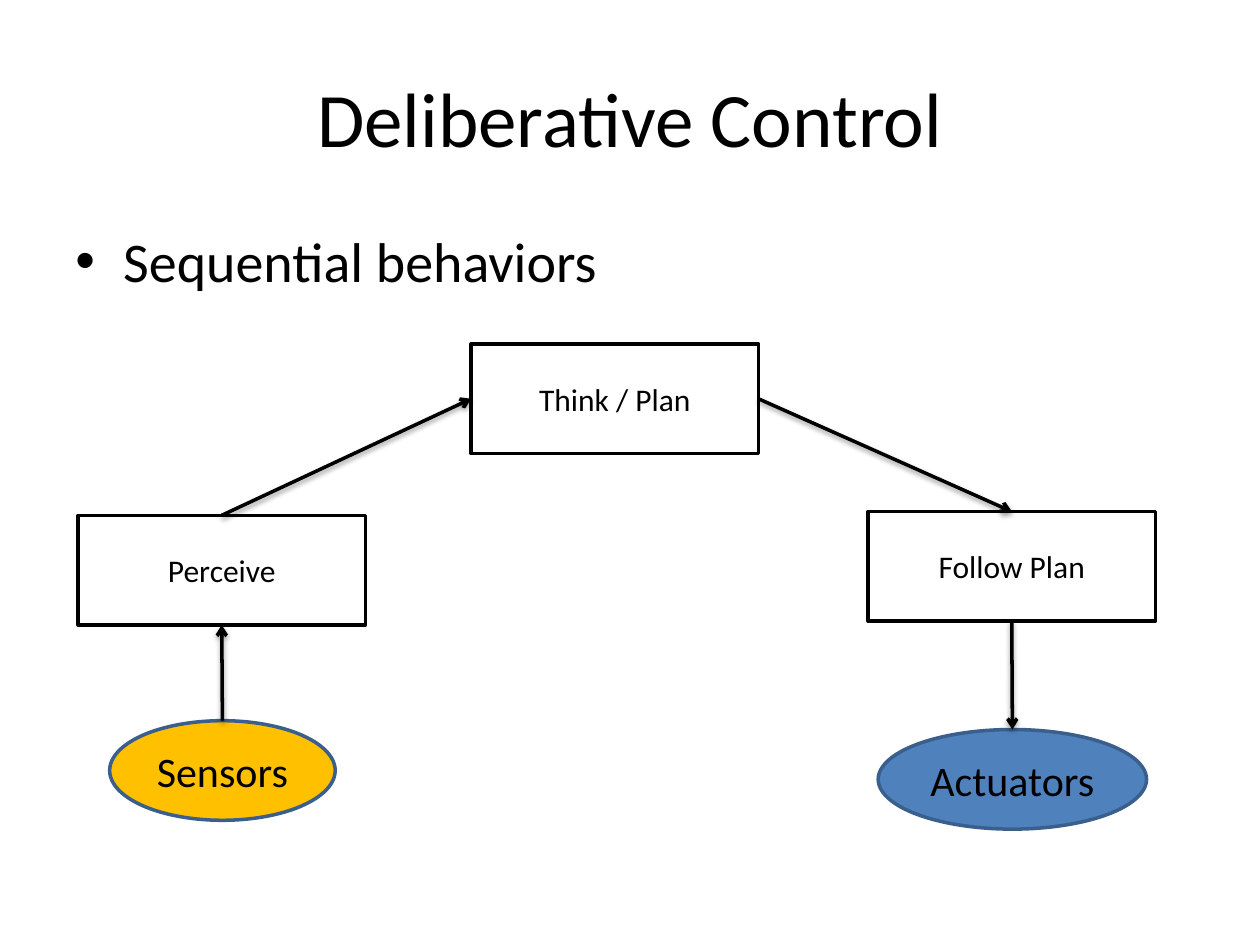
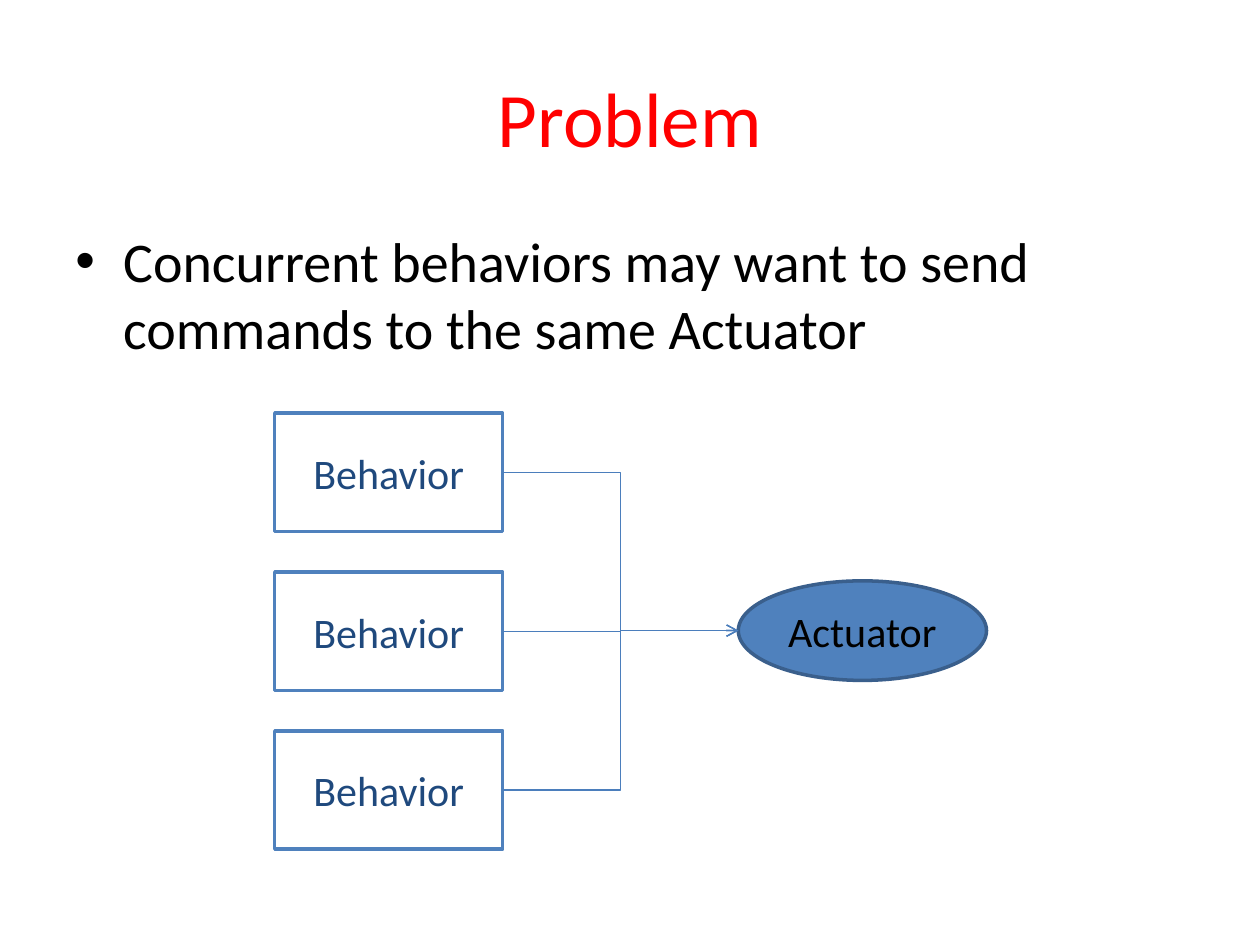
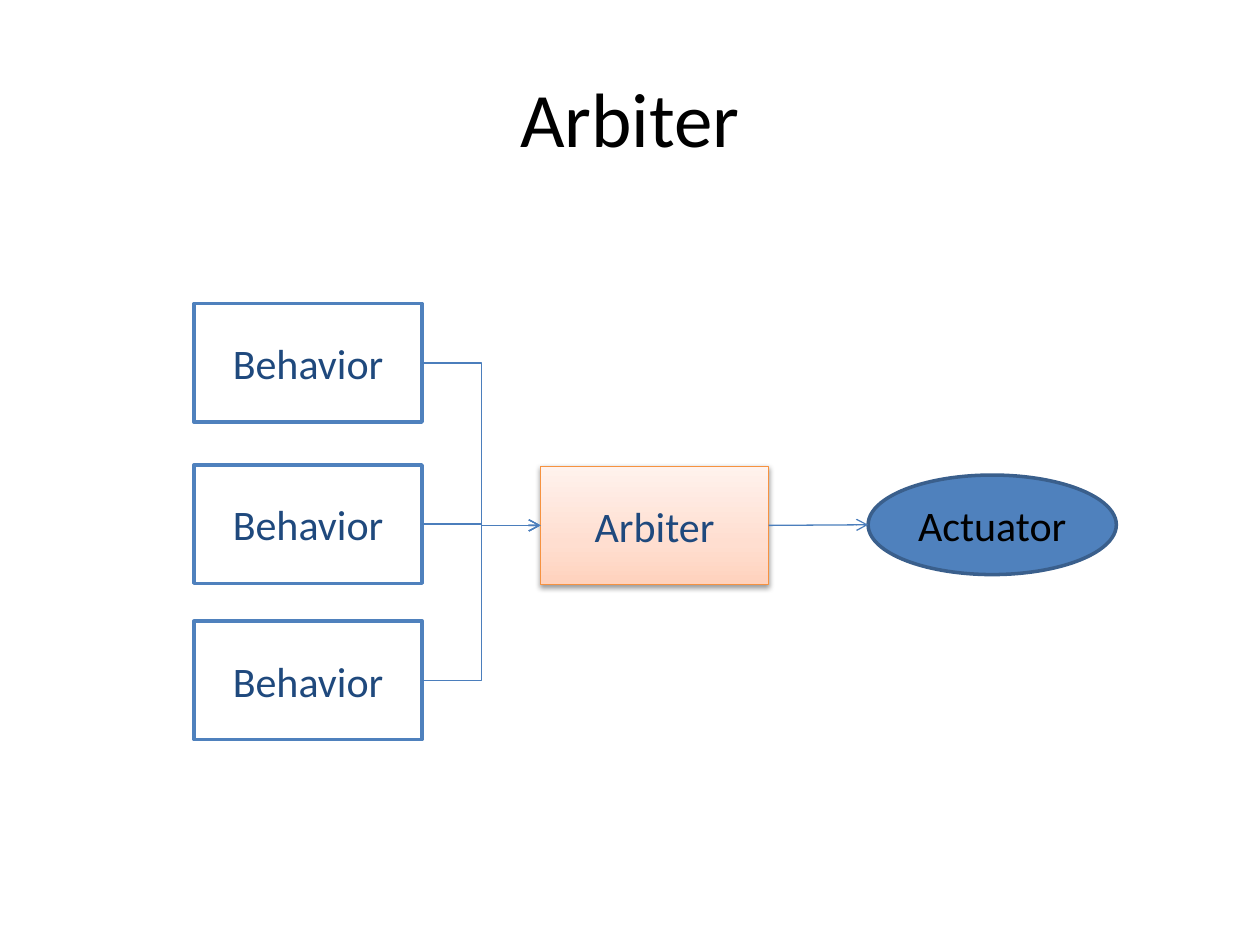
"""Three slides on robot control: sequential behaviors, conflicts and arbitration."""
from copy import deepcopy
from dataclasses import dataclass

from lxml import etree
from pptx import Presentation
from pptx import util as u
from pptx.dml.color import RGBColor
from pptx.enum import shapes, text
from pptx.oxml.ns import qn


@dataclass(frozen=True)
class Theme:
    """Colours, type sizes and line widths of the deck."""
    font: str = "Calibri"
    ink: str = "000000"
    paper: str = "FFFFFF"
    alert: str = "FF0000"
    navy: str = "1F497D"
    blue: str = "4F81BD"
    blue_edge: str = "3A5F8C"
    wire: str = "4B7EBC"
    amber: str = "FFC000"
    orange: str = "F69240"
    peach: tuple = ((0, "FFD2BD"), (0.35, "FFDED0"), (1, "FFF2ED"))
    title_size: int = 44
    body_size: int = 32
    node_size: int = 24
    step_size: int = 18
    heavy: float = 2
    fine: float = 0.75


def add_xml(parent, tag, **attributes):
    """Append a DrawingML element and return it."""
    child = etree.SubElement(parent, qn(tag))
    for name, value in attributes.items():
        child.set(name, str(value))
    return child


def set_effects(item, shadow=False):
    """Replace the theme's effects by a soft drop shadow or by none."""
    effects = add_xml(item._element.spPr, "a:effectLst")
    if shadow:
        drop = add_xml(effects, "a:outerShdw", blurRad=u.Pt(3.1), dist=u.Pt(1.6),
                       dir=5400000, rotWithShape=0)
        add_xml(add_xml(drop, "a:srgbClr", val=Theme.ink), "a:alpha", val=38000)


def fill_gradient(fill, stops):
    """Fill from bottom to top through the given (position, colour) stops."""
    fill.gradient()
    fill.gradient_angle = 90
    stop_list = fill._xPr.find(qn("a:gradFill")).find(qn("a:gsLst"))
    while len(stop_list) < len(stops):
        stop_list.append(deepcopy(stop_list[0]))
    for stop, (position, color) in zip(fill.gradient_stops, stops):
        stop.position = position
        stop.color.rgb = RGBColor.from_string(color)


def write(frame, words, *, size, color, align=text.PP_ALIGN.CENTER,
          anchor=text.MSO_ANCHOR.MIDDLE, bullet=False):
    """Put one formatted paragraph into a text frame."""
    frame.word_wrap = True
    frame.vertical_anchor = anchor
    paragraph = frame.paragraphs[0]
    paragraph.alignment = align
    run = paragraph.add_run()
    run.text = words
    run.font.name = Theme.font
    run.font.size = u.Pt(size)
    run.font.color.rgb = RGBColor.from_string(color)
    if bullet:
        layout = paragraph._p.get_or_add_pPr()
        layout.set("marL", str(u.Inches(0.38)))
        layout.set("indent", str(-u.Inches(0.38)))
        add_xml(add_xml(layout, "a:spcBef"), "a:spcPct", val=20000)
        add_xml(layout, "a:buFont", typeface="Arial")
        add_xml(layout, "a:buChar", char="•")


def side(node, name):
    """Return the middle point of a node's side."""
    across, down = {"left": (0, 0.5), "right": (1, 0.5),
                    "top": (0.5, 0), "bottom": (0.5, 1)}[name]
    return (u.Emu(int(node.left + node.width * across)),
            u.Emu(int(node.top + node.height * down)))


class Deck:
    """Holds the presentation, its theme and the slide being built."""

    def __init__(self):
        """Start an empty 4:3 presentation."""
        self.theme = Theme()
        self.show = Presentation()
        self.show.slide_width, self.show.slide_height = u.Inches(10), u.Inches(7.5)
        self.slide = None

    def new_slide(self, title, color=Theme.ink):
        """Add a blank slide with its title."""
        self.slide = self.show.slides.add_slide(self.show.slide_layouts[6])
        self.text_box(title, 0.3, 1.25, size=self.theme.title_size, color=color)

    def text_box(self, words, top, height, **style):
        """Add text across the content width."""
        box = self.slide.shapes.add_textbox(
            u.Inches(0.5), u.Inches(top), u.Inches(9), u.Inches(height))
        write(box.text_frame, words, **style)

    def bullet(self, words):
        """Add the bulleted statement under the title."""
        self.text_box(words, 1.75, 4.95, size=self.theme.body_size, color=self.theme.ink,
                      align=text.PP_ALIGN.LEFT, anchor=text.MSO_ANCHOR.TOP, bullet=True)

    def node(self, kind, words, place, *, fill, edge, color=Theme.ink,
             size=Theme.node_size, width=Theme.heavy, shadow=False):
        """Add a labelled shape; a tuple as fill means gradient stops."""
        node = self.slide.shapes.add_shape(kind, *map(u.Inches, place))
        if isinstance(fill, tuple):
            fill_gradient(node.fill, fill)
        else:
            node.fill.solid()
            node.fill.fore_color.rgb = RGBColor.from_string(fill)
        node.line.color.rgb = RGBColor.from_string(edge)
        node.line.width = u.Pt(width)
        set_effects(node, shadow)
        write(node.text_frame, words, size=size, color=color)
        return node

    def device(self, words, left, top, width=1.97, fill=Theme.blue):
        """Add an ellipse for a sensor or an actuator."""
        return self.node(shapes.MSO_SHAPE.OVAL, words, (left, top, width, 0.79),
                         fill=fill, edge=self.theme.blue_edge)

    def step(self, words, left, top):
        """Add a black-edged box for one step of the control loop."""
        return self.node(shapes.MSO_SHAPE.RECTANGLE, words, (left, top, 2.28, 0.87),
                         fill=self.theme.paper, edge=self.theme.ink,
                         size=self.theme.step_size)

    def module(self, words, left, top, fill=Theme.paper, edge=Theme.blue, **style):
        """Add a box for a behavior or the arbiter."""
        return self.node(shapes.MSO_SHAPE.RECTANGLE, words, (left, top, 1.81, 0.94),
                         fill=fill, edge=edge, color=self.theme.navy, **style)

    def behaviors(self, left, tops):
        """Add a column of equal behaviors."""
        return [self.module("Behavior", left, top) for top in tops]

    def arrow(self, start, end, *, elbow=False, color=Theme.wire,
              width=Theme.fine, shadow=False):
        """Draw an arrow between two (node, side) pairs."""
        kind = shapes.MSO_CONNECTOR.ELBOW if elbow else shapes.MSO_CONNECTOR.STRAIGHT
        link = self.slide.shapes.add_connector(kind, *side(*start), *side(*end))
        link.line.color.rgb = RGBColor.from_string(color)
        link.line.width = u.Pt(width)
        add_xml(link.line._get_or_add_ln(), "a:tailEnd", type="arrow")
        set_effects(link, shadow)

    def merge(self, sources, target):
        """Lead every source into the left side of one target."""
        for source in sources:
            self.arrow((source, "right"), (target, "left"), elbow=True)


def deliberative_control(deck):
    """Build the sense, plan and act chain."""
    theme = deck.theme
    deck.new_slide("Deliberative Control")
    deck.bullet("Sequential behaviors")
    sensors = deck.device("Sensors", 0.87, 5.72, 1.79, theme.amber)
    actuators = deck.device("Actuators", 6.97, 5.79, 2.13)
    plan = deck.step("Think / Plan", 3.74, 2.73)
    perceive = deck.step("Perceive", 0.62, 4.09)
    follow = deck.step("Follow Plan", 6.89, 4.06)
    for start, end in (((sensors, "top"), (perceive, "bottom")),
                       ((perceive, "top"), (plan, "left")),
                       ((plan, "right"), (follow, "top")),
                       ((follow, "bottom"), (actuators, "top"))):
        deck.arrow(start, end, color=theme.ink, width=theme.heavy, shadow=True)


def problem(deck):
    """Build the conflict of behaviors over one actuator."""
    deck.new_slide("Problem", deck.theme.alert)
    deck.bullet("Concurrent behaviors may want to send commands to the same Actuator")
    actuator = deck.device("Actuator", 5.86, 4.61)
    deck.merge(deck.behaviors(2.18, [3.28 + 1.26 * row for row in range(3)]), actuator)


def arbiter_solution(deck):
    """Build the arbiter between behaviors and actuator."""
    theme = deck.theme
    deck.new_slide("Arbiter")
    actuator = deck.device("Actuator", 6.89, 3.77)
    behaviors = deck.behaviors(1.54, (2.41, 3.69, 4.93))
    arbiter = deck.module("Arbiter", 4.29, 3.7, fill=theme.peach, edge=theme.orange,
                          width=theme.fine, shadow=True)
    deck.merge(behaviors, arbiter)
    deck.arrow((arbiter, "right"), (actuator, "left"))


def main():
    """Build all slides and save the deck."""
    deck = Deck()
    for build in (deliberative_control, problem, arbiter_solution):
        build(deck)
    deck.show.save("out.pptx")


main()
